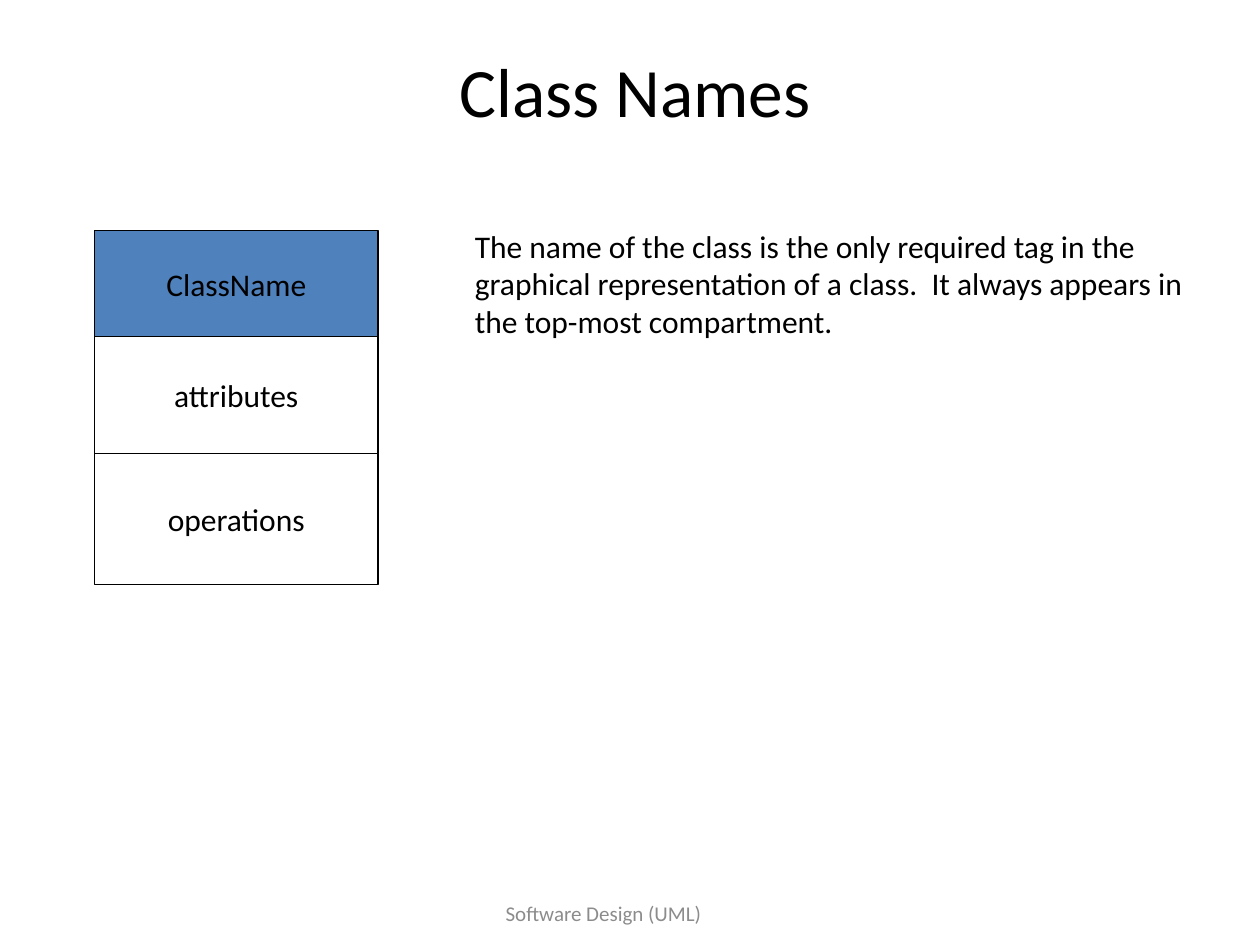
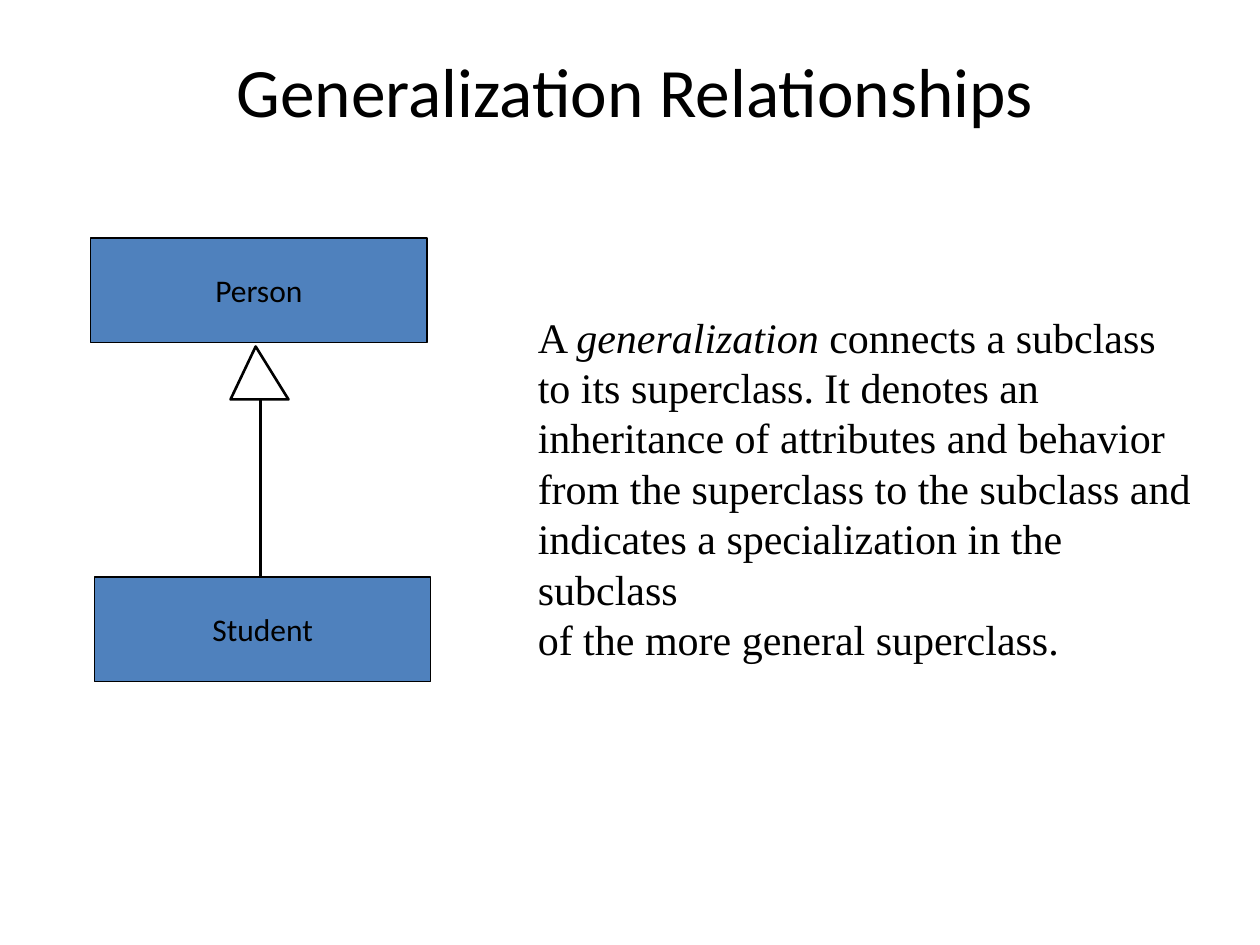
"""Build two slides on UML class names and generalization relationships."""
from dataclasses import dataclass

from lxml import etree
from pptx import Presentation
from pptx.dml.color import RGBColor
from pptx.enum import shapes, text
from pptx.oxml import ns
from pptx.util import Inches, Pt

BLACK = RGBColor(0x00, 0x00, 0x00)
WHITE = RGBColor(0xFF, 0xFF, 0xFF)
BLUE = RGBColor(0x4F, 0x81, 0xBD)
GREY = RGBColor(0x8C, 0x8C, 0x8C)
SANS = "Calibri"
SERIF = "Times New Roman"
CENTER = text.PP_ALIGN.CENTER
LEFT = text.PP_ALIGN.LEFT
MIDDLE = text.MSO_ANCHOR.MIDDLE
TOP = text.MSO_ANCHOR.TOP


@dataclass(frozen=True)
class TextStyle:
    size: float
    font: str = SANS
    color: RGBColor = BLACK
    alignment: text.PP_ALIGN = LEFT
    anchor: text.MSO_ANCHOR = TOP


@dataclass(frozen=True)
class Box:
    left: float
    top: float
    width: float
    height: float

    def lengths(self) -> list:
        return [Inches(n) for n in (self.left, self.top, self.width, self.height)]


@dataclass(frozen=True)
class Run:
    words: str
    italic: bool = False


@dataclass(frozen=True)
class Compartment:
    label: str
    box: Box
    fill: RGBColor = BLUE


TITLE = TextStyle(39.6, alignment=CENTER, anchor=MIDDLE)
FOOTER = TextStyle(12, color=GREY, alignment=CENTER, anchor=MIDDLE)
LABEL = TextStyle(18, alignment=CENTER, anchor=MIDDLE)
BODY = TextStyle(18)
DEFINITION = TextStyle(24, font=SERIF)

CLASS_COMPARTMENTS = [
    Compartment("ClassName", Box(0.75, 1.83, 2.25, 0.84)),
    Compartment("attributes", Box(0.75, 2.67, 2.25, 0.93), WHITE),
    Compartment("operations", Box(0.75, 3.6, 2.25, 1.04), WHITE),
]
RELATED_CLASSES = [
    Compartment("Person", Box(0.72, 1.89, 2.67, 0.83)),
    Compartment("Student", Box(0.75, 4.58, 2.67, 0.83)),
]
NAME_RULE = [[Run(
    "The name of the class is the only required tag in the graphical "
    "representation of a class.  It always appears in the top-most compartment."
)]]
GENERALIZATION = [
    [Run("A "), Run("generalization", italic=True), Run(" connects a subclass")],
    [Run("to its superclass. It denotes an")],
    [Run("inheritance of attributes and behavior")],
    [Run("from the superclass to the subclass and")],
    [Run("indicates a specialization in the subclass")],
    [Run("of the more general superclass.")],
]


def write(shape, paragraphs: list[list[Run]], style: TextStyle, wrap: bool = True) -> None:
    """Fill a shape with styled paragraphs, run by run."""
    frame = shape.text_frame
    frame.word_wrap = wrap
    frame.vertical_anchor = style.anchor
    for index, runs in enumerate(paragraphs):
        paragraph = frame.add_paragraph() if index else frame.paragraphs[0]
        paragraph.alignment = style.alignment
        for item in runs:
            run = paragraph.add_run()
            run.text = item.words
            run.font.name = style.font
            run.font.size = Pt(style.size)
            run.font.color.rgb = style.color
            run.font.italic = item.italic


def add_text(slide, box: Box, paragraphs: list[list[Run]], style: TextStyle) -> None:
    """Add a wrapping text box."""
    write(slide.shapes.add_textbox(*box.lengths()), paragraphs, style)


def paint(shape, fill: RGBColor, line_width: float) -> None:
    """Give a shape a flat fill and a black outline."""
    shape.shadow.inherit = False
    shape.fill.solid()
    shape.fill.fore_color.rgb = fill
    shape.line.color.rgb = BLACK
    shape.line.width = Pt(line_width)


def add_compartment(slide, compartment: Compartment) -> None:
    """Add a labelled rectangle of a class diagram."""
    shape = slide.shapes.add_shape(
        shapes.MSO_SHAPE.RECTANGLE, *compartment.box.lengths())
    paint(shape, compartment.fill, 0.75)
    write(shape, [[Run(compartment.label)]], LABEL, wrap=False)


def add_inheritance_arrow(slide) -> None:
    """Draw the stem and hollow triangle from subclass to superclass."""
    stem = slide.shapes.add_connector(
        shapes.MSO_CONNECTOR.STRAIGHT,
        Inches(2.07), Inches(3.17), Inches(2.07), Inches(4.58))
    stem.line.color.rgb = BLACK
    stem.line.width = Pt(1.5)
    etree.SubElement(stem.element.spPr, ns.qn("a:effectLst"))
    builder = slide.shapes.build_freeform(Inches(2.03), Inches(2.75))
    builder.add_line_segments(
        [(Inches(1.83), Inches(3.17)), (Inches(2.29), Inches(3.17))], close=True)
    paint(builder.convert_to_shape(), WHITE, 1.5)


def add_diagram_slide(presentation, title: str, compartments: list[Compartment]):
    """Add a slide with a title and its class rectangles."""
    slide = presentation.slides.add_slide(presentation.slide_layouts[6])
    add_text(slide, Box(0.75, 0.42, 8.58, 0.58), [[Run(title)]], TITLE)
    for compartment in compartments:
        add_compartment(slide, compartment)
    return slide


def main() -> None:
    """Build and save the presentation."""
    presentation = Presentation()
    presentation.slide_width = Inches(10)
    presentation.slide_height = Inches(7.5)

    names = add_diagram_slide(presentation, "Class Names", CLASS_COMPARTMENTS)
    add_text(names, Box(3.67, 1.75, 6, 1.7), NAME_RULE, BODY)
    add_text(names, Box(2.58, 7, 4.42, 0.5), [[Run("Software Design (UML)")]], FOOTER)

    relationships = add_diagram_slide(
        presentation, "Generalization Relationships", RELATED_CLASSES)
    add_text(relationships, Box(4.17, 2.42, 5.5, 2.5), GENERALIZATION, DEFINITION)
    add_inheritance_arrow(relationships)

    presentation.save("out.pptx")


if __name__ == "__main__":
    main()
